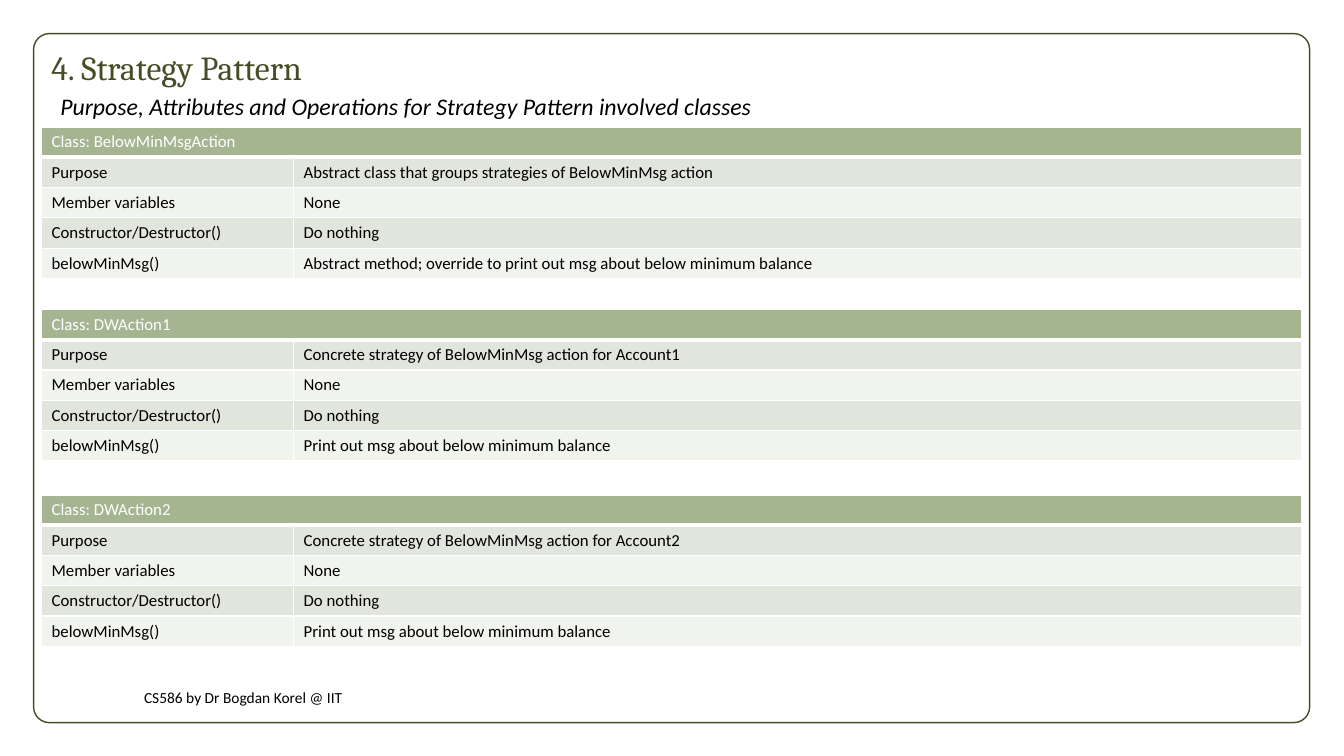
from lxml import etree
from pptx import Presentation
from pptx.dml.color import RGBColor
from pptx.enum.shapes import MSO_SHAPE
from pptx.enum.text import MSO_ANCHOR
from pptx.oxml.ns import qn
from pptx.util import Pt

ROUNDED = MSO_SHAPE.ROUNDED_RECTANGLE
TOP, MIDDLE = MSO_ANCHOR.TOP, MSO_ANCHOR.MIDDLE

TITLE = "4. Strategy Pattern"
SUBTITLE = "Purpose, Attributes and Operations for Strategy Pattern involved classes"
FOOTER = "CS586 by Dr Bogdan Korel @ IIT"
LABELS = ["Purpose", "Member variables", "Constructor/Destructor()", "belowMinMsg()"]
CLASSES = [
    ("Class: BelowMinMsgAction", 90.7,
     "Abstract class that groups strategies of BelowMinMsg action",
     "Abstract method; override to print out msg about below minimum balance"),
    ("Class: DWAction1", 221,
     "Concrete strategy of BelowMinMsg action for Account1",
     "Print out msg about below minimum balance"),
    ("Class: DWAction2", 353.5,
     "Concrete strategy of BelowMinMsg action for Account2",
     "Print out msg about below minimum balance"),
]

GREEN, WHITE, BLACK = "444D26", "FFFFFF", "000000"
HEADER_FILL, BAND_FILLS = "A5B592", ("E1E5DC", "F0F3EE")
TABLE_LEFT, COLUMN_WIDTHS, ROW_HEIGHT = 29.7, (180, 720), 21


def color(value):
    return RGBColor.from_string(value)


def write(frame, text, size=12, font="Calibri", ink=BLACK, italic=False, spacing=None):
    para = frame.paragraphs[0]
    para.line_spacing = spacing
    span = para.add_run()
    span.text = text
    span.font.size = Pt(size)
    span.font.name = font
    span.font.italic = italic
    span.font.color.rgb = color(ink)


def add_text(text, left, top, width, height, anchor=TOP, **style):
    box = page.shapes.add_textbox(Pt(left), Pt(top), Pt(width), Pt(height))
    box.text_frame.word_wrap = True
    box.text_frame.vertical_anchor = anchor
    write(box.text_frame, text, **style)


def style_cell(cell, fill, bottom=1, top=1):
    cell.fill.solid()
    cell.fill.fore_color.rgb = color(fill)
    properties = cell._tc.get_or_add_tcPr()
    widths = {"a:lnL": 1, "a:lnR": 1, "a:lnT": top, "a:lnB": bottom}
    for position, (side, width) in enumerate(widths.items()):
        line = etree.Element(qn(side), w=str(Pt(width)))
        paint = etree.SubElement(line, qn("a:solidFill"))
        etree.SubElement(paint, qn("a:srgbClr"), val=WHITE)
        properties.insert(position, line)


def add_class_table(heading, top, purpose, operation):
    values = [purpose, "None", "Do nothing", operation]
    count = len(LABELS) + 1
    table = page.shapes.add_table(
        count, 2, Pt(TABLE_LEFT), Pt(top),
        Pt(sum(COLUMN_WIDTHS)), Pt(count * ROW_HEIGHT)).table
    for column, width in zip(table.columns, COLUMN_WIDTHS):
        column.width = Pt(width)
    for row in table.rows:
        row.height = Pt(ROW_HEIGHT)
    header = table.cell(0, 0)
    header.merge(table.cell(0, 1))
    write(header.text_frame, heading, ink=WHITE)
    for column in range(2):
        style_cell(table.cell(0, column), HEADER_FILL, bottom=3)
    for row, texts in enumerate(zip(LABELS, values), 1):
        for column, text in enumerate(texts):
            cell = table.cell(row, column)
            write(cell.text_frame, text)
            style_cell(cell, BAND_FILLS[(row - 1) % 2], top=3 if row == 1 else 1)


deck = Presentation()
deck.slide_width, deck.slide_height = Pt(960), Pt(540)
page = deck.slides.add_slide(deck.slide_layouts[6])

border = page.shapes.add_shape(ROUNDED, Pt(24), Pt(24), Pt(911.5), Pt(492.2))
border.adjustments[0] = 0.023
border.shadow.inherit = False
border.fill.solid()
border.fill.fore_color.rgb = color(WHITE)
border.line.color.rgb = color(GREEN)
border.line.width = Pt(1)

add_text(FOOTER, 95.8, 486, 584, 24, anchor=MIDDLE, size=11)
add_text(SUBTITLE, 36, 67.7, 834, 22.3, size=17, italic=True, spacing=0.7)
add_text(TITLE, 29.7, 30.2, 767.5, 38.2, size=24, font="Cambria", ink=GREEN)
for details in CLASSES:
    add_class_table(*details)

deck.save("out.pptx")
